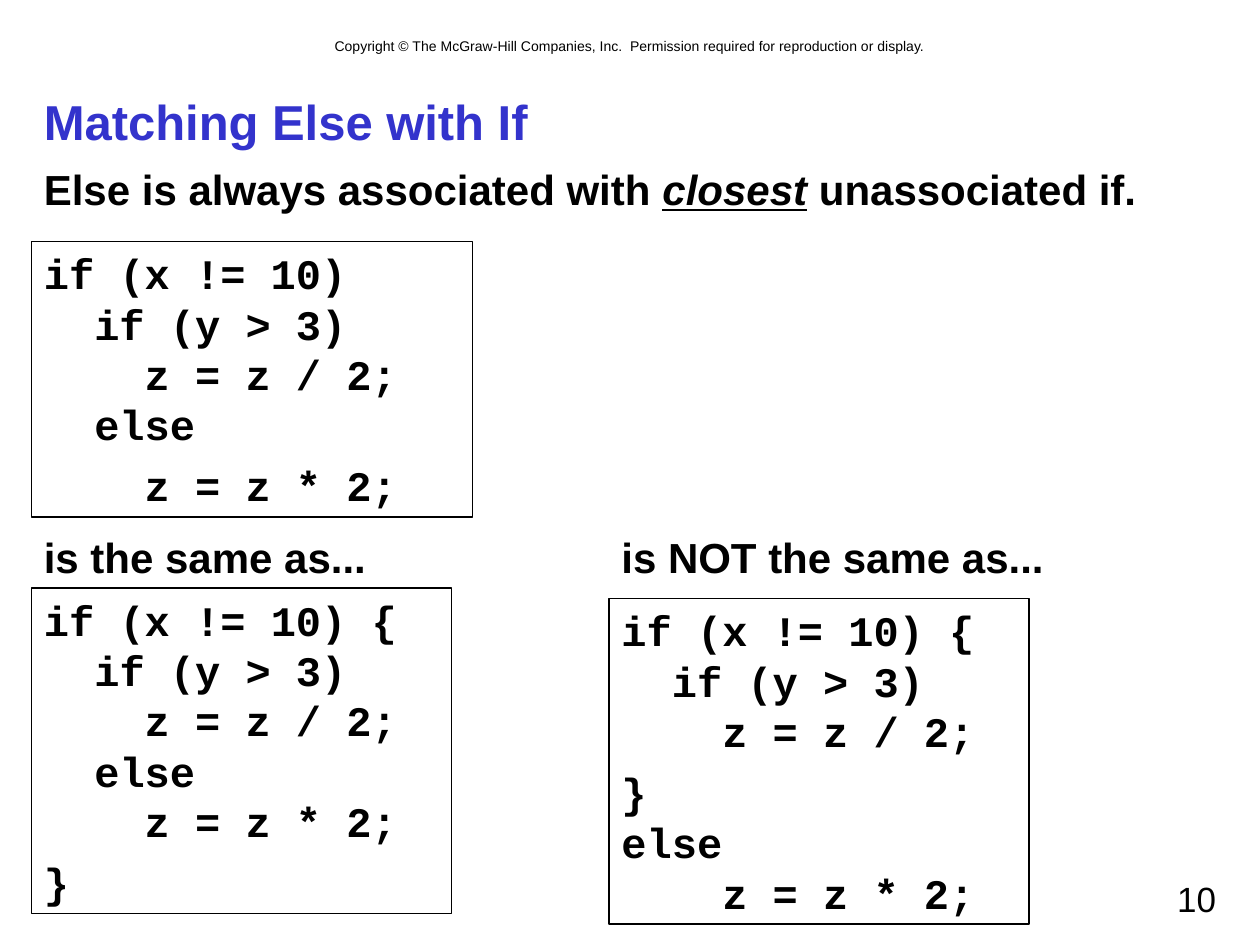
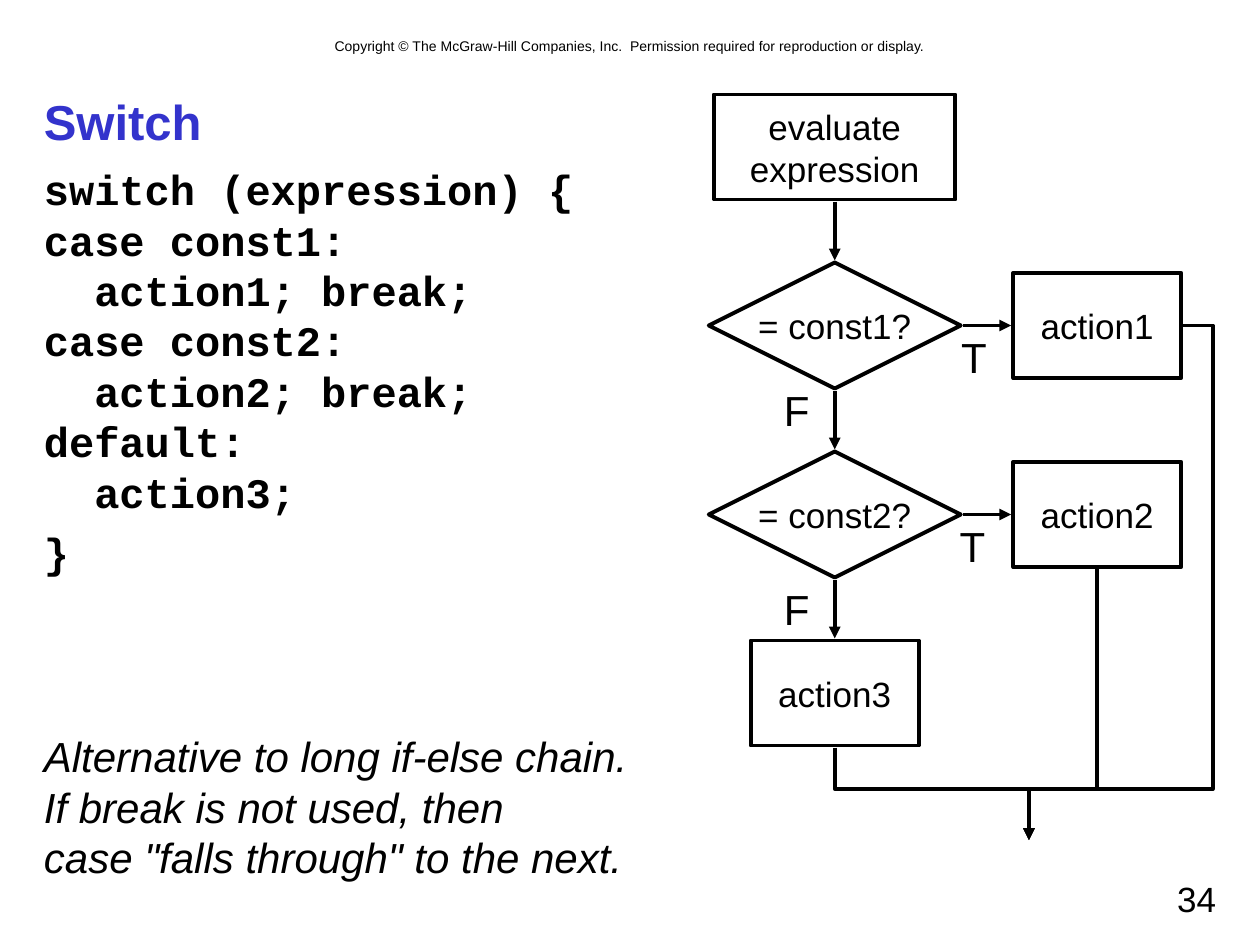
import pptx
import pptx.util
import pptx.dml.color
import pptx.enum.shapes
import pptx.enum.text
import pptx.oxml
import pptx.oxml.ns
from dataclasses import dataclass

# All places are in grid units, 24 to the inch.
UNIT = 914400 // 24
WIDE, HIGH = 240, 180
SHAPE = pptx.enum.shapes.MSO_SHAPE
WIRE = pptx.enum.shapes.MSO_CONNECTOR
ALIGN = pptx.enum.text.PP_ALIGN
ANCHOR = pptx.enum.text.MSO_ANCHOR


@dataclass(frozen=True)
class Theme:
    ink: str = "000000"
    head: str = "3333CC"
    sans: str = "Arial"
    mono: str = "Courier New"
    title: int = 28
    body: int = 24
    node: int = 20
    small: int = 8
    thin: float = 0.75
    thick: float = 2.25
    pitch: float = 1.2
    gap: int = 6


THEME = Theme()

# Shared frame
LEGAL = "Copyright © The McGraw-Hill Companies, Inc.  Permission required for reproduction or display."
LEGAL_AT = (16, 6, 208, 6)
TITLE_AT = (6, 16, 228, 14)
BODY_AT = (6, 30, 228, 130)
PAGE_AT = (172, 166, 62, 10)

# Matching else with if
RULE = [("Else is always associated with ", "closest", " unassociated if.")]
CODES = [
    ((6, 46, 84, 52.5), ["""if (x != 10)
  if (y > 3)
    z = z / 2;
  else""", "    z = z * 2;"]),
    ((6, 112, 80, 62), ["""if (x != 10) {
  if (y > 3)
    z = z / 2;
  else
    z = z * 2;""", "}"]),
    ((116, 114, 80, 62), ["""if (x != 10) {
  if (y > 3)
    z = z / 2;""", """}
else
    z = z * 2;"""]),
]
CLAIMS = [((6, 100, 72, 12), "is the same as..."),
          ((116, 100, 96, 12), "is NOT the same as...")]

# Switch
SWITCH = ["""switch (expression) {
case const1:
  action1; break;
case const2:
  action2; break;
default:
  action3;""", "}"]
NOTE_AT = (6, 138, 124, 31)
NOTE = ["Alternative to long if-else chain.",
        """If break is not used, then
case "falls through" to the next."""]

TESTS, ACTS = 159, 209              # column centres of the flow chart
ROWS = (28, 62, 98, 132)            # row centres
BUS, LANE, EXIT = 150.25, 231, (196, 160)
SIZES = {"start": (46, 20), "test": (48, 24), "act": (32, 20)}
NODES = [
    ("evaluate\nexpression", "start", TESTS, ROWS[0]),
    ("= const1?", "test", TESTS, ROWS[1]),
    ("= const2?", "test", TESTS, ROWS[2]),
    ("action1", "act", ACTS, ROWS[1]),
    ("action2", "act", ACTS, ROWS[2]),
    ("action3", "act", TESTS, ROWS[3]),
]
LABELS = [("T", 185.5, 62), ("T", 185.25, 98), ("F", 151.75, 72), ("F", 151.75, 110)]
TOUCH = 0.4                         # gap between a node and its arrow


def emu(n):
    return pptx.util.Emu(round(n * UNIT))


def rgb(code):
    return pptx.dml.color.RGBColor.from_string(code)


def write(shape, paras, size, font=THEME.sans, color=THEME.ink, bold=False,
          italic=False, align=ALIGN.LEFT, anchor=ANCHOR.TOP, wrap=True, gap=0):
    """Fill a shape; in a tuple paragraph every second piece is stressed."""
    frame = shape.text_frame
    frame.word_wrap = wrap
    frame.vertical_anchor = anchor
    for i, text in enumerate(paras):
        para = frame.add_paragraph() if i else frame.paragraphs[0]
        para.alignment = align
        para.line_spacing = pptx.util.Pt(size * THEME.pitch)
        para.space_before = pptx.util.Pt(gap if i else 0)
        if isinstance(text, tuple):
            for n, piece in enumerate(text):
                run = para.add_run()
                run.text = piece
                if n % 2:
                    run.font.italic = run.font.underline = True
        else:
            para.text = text
        for run in para.runs:
            run.font.name, run.font.size = font, pptx.util.Pt(size)
            run.font.bold = bold
            run.font.color.rgb = rgb(color)
            if italic:
                run.font.italic = True


def text(slide, at, paras, size, **look):
    write(slide.shapes.add_textbox(*map(emu, at)), paras, size, **look)


def box(slide, kind, at, width):
    shape = slide.shapes.add_shape(kind, *map(emu, at))
    shape.shadow.inherit = False
    shape.fill.background()
    shape.line.color.rgb = rgb(THEME.ink)
    shape.line.width = pptx.util.Pt(width)
    return shape


def add(parent, tag, **attrs):
    child = pptx.oxml.parse_xml(f'<{tag} {pptx.oxml.ns.nsdecls("a")}/>')
    for key, value in attrs.items():
        child.set(key, str(value))
    parent.append(child)
    return child


def wire(slide, kind, start, end):
    line = slide.shapes.add_connector(kind, *map(emu, start + end))
    line.line.color.rgb = rgb(THEME.ink)
    line.line.width = pptx.util.Pt(THEME.thick)
    add(line.line._get_or_add_ln(), "a:tailEnd", type="triangle")
    add(line._element.spPr, "a:effectLst")
    return line


def bend(line, preset, *shares):
    """Set the elbow preset and where its bends lie."""
    geom = line._element.spPr.find(pptx.oxml.ns.qn("a:prstGeom"))
    geom.set("prst", preset)
    for old in list(geom):
        geom.remove(old)
    guides = add(geom, "a:avLst")
    for n, share in enumerate(shares, 1):
        add(guides, "a:gd", name=f"adj{n}", fmla=f"val {round(share * 100000)}")


def drop(slide, start, end):
    """Elbow that leaves downwards, crosses on the bus and ends downwards."""
    (x0, y0), (x1, y1) = start, end
    cx, cy = (x0 + x1) / 2, (y0 + y1) / 2
    w, h = y1 - y0, abs(x1 - x0)
    line = wire(slide, WIRE.ELBOW, (cx - w / 2, cy - h / 2), (cx + w / 2, cy + h / 2))
    turn = line._element.spPr.find(pptx.oxml.ns.qn("a:xfrm"))
    right = x1 > x0
    turn.set("rot", str((270 if right else 90) * 60000))
    if right:
        turn.set("flipH", "1")
    bend(line, "bentConnector3", (BUS - y0) / w)


def page(deck, title, number):
    slide = deck.slides.add_slide(deck.slide_layouts[6])
    text(slide, LEGAL_AT, [LEGAL], THEME.small, align=ALIGN.CENTER)
    text(slide, TITLE_AT, [title], THEME.title, color=THEME.head, bold=True,
         anchor=ANCHOR.MIDDLE)
    text(slide, PAGE_AT, [str(number)], THEME.node, align=ALIGN.RIGHT)
    return slide


def matching(deck):
    slide = page(deck, "Matching Else with If", 10)
    text(slide, BODY_AT, RULE, THEME.body, bold=True)
    for at, code in CODES:
        write(box(slide, SHAPE.RECTANGLE, at, THEME.thin), code, THEME.body,
              font=THEME.mono, bold=True, gap=THEME.gap)
    for at, claim in CLAIMS:
        text(slide, at, [claim], THEME.body, bold=True)


def switch(deck):
    slide = page(deck, "Switch", 34)
    text(slide, BODY_AT, SWITCH, THEME.body, font=THEME.mono, bold=True, gap=THEME.gap)
    for name, role, x, y in NODES:
        w, h = SIZES[role]
        kind = SHAPE.DIAMOND if role == "test" else SHAPE.RECTANGLE
        node = box(slide, kind, (x - w / 2, y - h / 2, w, h), THEME.thick)
        write(node, [name], THEME.node, align=ALIGN.CENTER,
              anchor=ANCHOR.MIDDLE, wrap=False)

    half = {role: (w / 2 + TOUCH, h / 2 + TOUCH) for role, (w, h) in SIZES.items()}
    chain = ("start", "test", "test", "act")
    for i in range(len(ROWS) - 1):
        wire(slide, WIRE.STRAIGHT, (TESTS, ROWS[i] + half[chain[i]][1]),
             (TESTS, ROWS[i + 1] - half[chain[i + 1]][1]))
    side, foot = half["act"]
    for y in ROWS[1:3]:
        wire(slide, WIRE.STRAIGHT, (TESTS + half["test"][0], y), (ACTS - side, y))

    drop(slide, (TESTS, ROWS[3] + foot), EXIT)
    drop(slide, (ACTS, ROWS[2] + foot), EXIT)
    x, y = ACTS + side, ROWS[1]
    loop = wire(slide, WIRE.ELBOW, (x, y), EXIT)
    bend(loop, "bentConnector4", (LANE - x) / (EXIT[0] - x), (BUS - y) / (EXIT[1] - y))

    for mark, x, y in LABELS:
        text(slide, (x - 5, y, 10, 12), [mark], THEME.body,
             align=ALIGN.CENTER, wrap=False)
    text(slide, NOTE_AT, NOTE, THEME.body, italic=True)


def main():
    deck = pptx.Presentation()
    deck.slide_width, deck.slide_height = emu(WIDE), emu(HIGH)
    matching(deck)
    switch(deck)
    deck.save("out.pptx")


if __name__ == "__main__":
    main()
